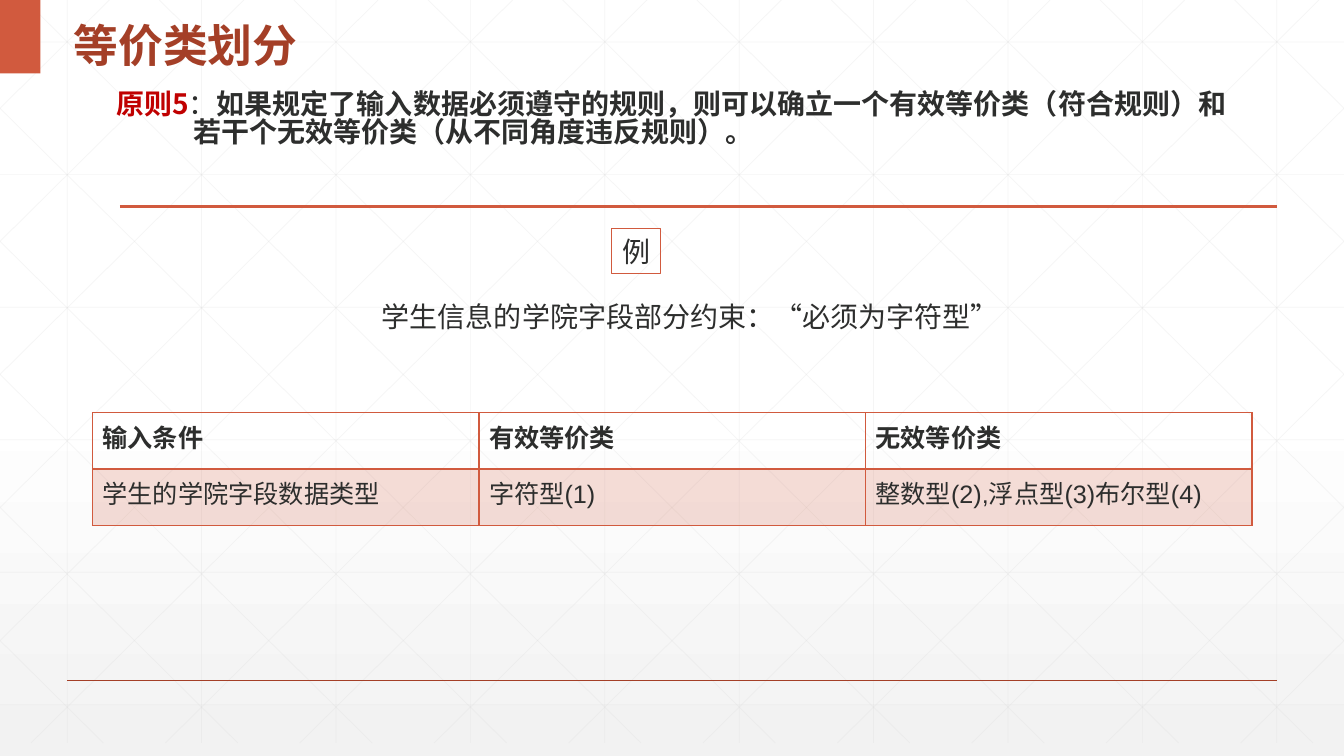
from lxml import etree
from pptx import Presentation
from pptx.dml.color import RGBColor
from pptx.enum.shapes import MSO_CONNECTOR, MSO_SHAPE
from pptx.enum.text import MSO_ANCHOR, MSO_AUTO_SIZE, PP_ALIGN
from pptx.oxml import parse_xml
from pptx.oxml.ns import nsdecls, qn
from pptx.util import Cm, Pt

WIDTH, HEIGHT = 33.87, 19.05
ACCENT, DARK_ACCENT, INK, RED = "D15A3E", "A43F27", "2D2E2D", "C00000"
color = RGBColor.from_string


def style(span, size, hex_color=INK, bold=False, font="Arial"):
    span.font.size = Pt(size)
    span.font.bold = bold
    span.font.color.rgb = color(hex_color)
    span.font.name = font
    east_asian = etree.SubElement(span.font._element, qn("a:ea"))
    east_asian.set("typeface", "Noto Sans CJK SC")


def add_line(shapes, start, end, hex_color, weight):
    line = shapes.add_connector(MSO_CONNECTOR.STRAIGHT, *map(Cm, start + end))
    line.line.color.rgb = color(hex_color)
    line.line.width = Pt(weight)
    etree.SubElement(line._element.spPr, qn("a:effectLst"))
    return line


deck = Presentation()
deck.slide_width, deck.slide_height = Cm(WIDTH), Cm(HEIGHT)
page = deck.slides.add_slide(deck.slide_layouts[1])

# Background gradient
background = page.background.fill
background.gradient()
background.gradient_angle = 270
for stop, position, shade in zip(background.gradient_stops, (0.53, 1), ("FFFFFF", "F2F2F2")):
    stop.position = position
    stop.color.rgb = color(shade)

# Background grid: verticals, horizontals, and diagonals clipped at the slide edges
pitch = WIDTH / 10
grid_bottom = 18.72
slope = 0.99
grid_lines = [((pitch * (i + 0.5), 0), (pitch * (i + 0.5), grid_bottom)) for i in range(10)]
grid_lines += [((0, 1.06 + 3.34 * i), (WIDTH, 1.06 + 3.34 * i)) for i in range(6)]
for i in range(-5, 10):
    origin = 0.63 + pitch * i
    left = max(origin, 0)
    right = min(origin + grid_bottom / slope, WIDTH)
    top, bottom = (left - origin) * slope, (right - origin) * slope
    grid_lines.append(((left, top), (right, bottom)))
    grid_lines.append(((WIDTH - left, top), (WIDTH - right, bottom)))

grid = page.shapes.add_group_shape()
for start, end in grid_lines:
    line = add_line(grid.shapes, start, end, "D9D9D9", 0.5)
    shade = line._element.spPr.find(".//" + qn("a:srgbClr"))
    etree.SubElement(shade, qn("a:alpha")).set("val", "25000")
page.shapes._spTree.insert(2, grid._element)

# Footer rule, corner block and divider
add_line(page.shapes, (1.69, 17.15), (32.18, 17.15), DARK_ACCENT, 1)
corner = page.shapes.add_shape(MSO_SHAPE.RECTANGLE, 0, 0, Cm(1.02), Cm(1.85))
corner.shadow.inherit = False
corner.fill.solid()
corner.fill.fore_color.rgb = color(ACCENT)
corner.line.fill.background()
add_line(page.shapes, (3.02, 5.21), (32.18, 5.21), ACCENT, 2)

# Title
title = page.shapes.title
title.left, title.top, title.width, title.height = Cm(1.6), 0, Cm(14.45), Cm(1.85)
title.text_frame.text = "等价类划分"
title.text_frame.vertical_anchor = MSO_ANCHOR.MIDDLE
title.text_frame.auto_size = MSO_AUTO_SIZE.NONE
heading = title.text_frame.paragraphs[0]
heading.alignment = PP_ALIGN.LEFT
heading.line_spacing = 1.3
style(heading.runs[0], 32, DARK_ACCENT, True)

# Principle
body = page.placeholders[1]
body.left, body.top, body.width, body.height = Cm(2.67), Cm(2.18), Cm(30.4), Cm(2.08)
body.text_frame.auto_size = MSO_AUTO_SIZE.NONE
principle = [
    (0, [("原则5", RED, True), ("：", INK, False),
         ("如果规定了输入数据必须遵守的规则，则可以确立一个有效等价类（符合规则）和", INK, True)]),
    (1.94, [("若干个无效等价类（从不同角度违反规则）。", INK, True)]),
]
for number, (indent, spans) in enumerate(principle):
    frame = body.text_frame
    paragraph = frame.add_paragraph() if number else frame.paragraphs[0]
    properties = paragraph._p.get_or_add_pPr()
    properties.set("marL", str(Cm(indent)))
    properties.set("indent", "0")
    etree.SubElement(properties, qn("a:buNone"))
    paragraph.space_before = Pt(0)
    paragraph.line_spacing = 0.85
    for text, hex_color, bold in spans:
        span = paragraph.add_run()
        span.text = text
        style(span, 20, hex_color, bold, "Noto Sans CJK SC")

# Example label and sentence
label = page.shapes.add_shape(MSO_SHAPE.RECTANGLE, Cm(15.42), Cm(5.77), Cm(1.22), Cm(1.12))
label.shadow.inherit = False
label.fill.background()
label.line.color.rgb = color(ACCENT)
label.line.width = Pt(0.75)
label.text_frame.word_wrap = False
sentence = page.shapes.add_textbox(Cm(3.71), Cm(7.42), Cm(27.38), Cm(1.12))
sentence.text_frame.word_wrap = True
for box, text in ((label, "例"), (sentence, "学生信息的学院字段部分约束：“必须为字符型”")):
    box.text_frame.text = text
    box.text_frame.paragraphs[0].alignment = PP_ALIGN.CENTER
    style(box.text_frame.paragraphs[0].runs[0], 20)

# Table of equivalence classes
rows = [
    ("输入条件", "有效等价类", "无效等价类"),
    ("学生的学院字段数据类型", "字符型(1)", "整数型(2),浮点型(3)布尔型(4)"),
]
table = page.shapes.add_table(2, 3, Cm(2.33), Cm(10.4), Cm(29.22), Cm(2.84)).table
table.horz_banding = table.first_row = False
for row_number, texts in enumerate(rows):
    for column_number, text in enumerate(texts):
        cell = table.cell(row_number, column_number)
        cell.text = text
        paragraph = cell.text_frame.paragraphs[0]
        paragraph.alignment = PP_ALIGN.JUSTIFY
        style(paragraph.runs[0], 18, bold=row_number == 0)
        cell_properties = cell._tc.get_or_add_tcPr()
        for side in "LRTB":
            weight = 2 if (row_number, side) in ((0, "B"), (1, "T")) else 1
            cell_properties.append(parse_xml(
                f'<a:ln{side} {nsdecls("a")} w="{Pt(weight)}"><a:solidFill>'
                f'<a:srgbClr val="{ACCENT}"/></a:solidFill></a:ln{side}>'))
        if row_number == 0:
            cell.fill.background()
        else:
            cell.fill.solid()
            cell.fill.fore_color.rgb = color(ACCENT)
            shade = cell_properties.find(qn("a:solidFill")).find(qn("a:srgbClr"))
            etree.SubElement(shade, qn("a:alpha")).set("val", "20000")

deck.save("out.pptx")
